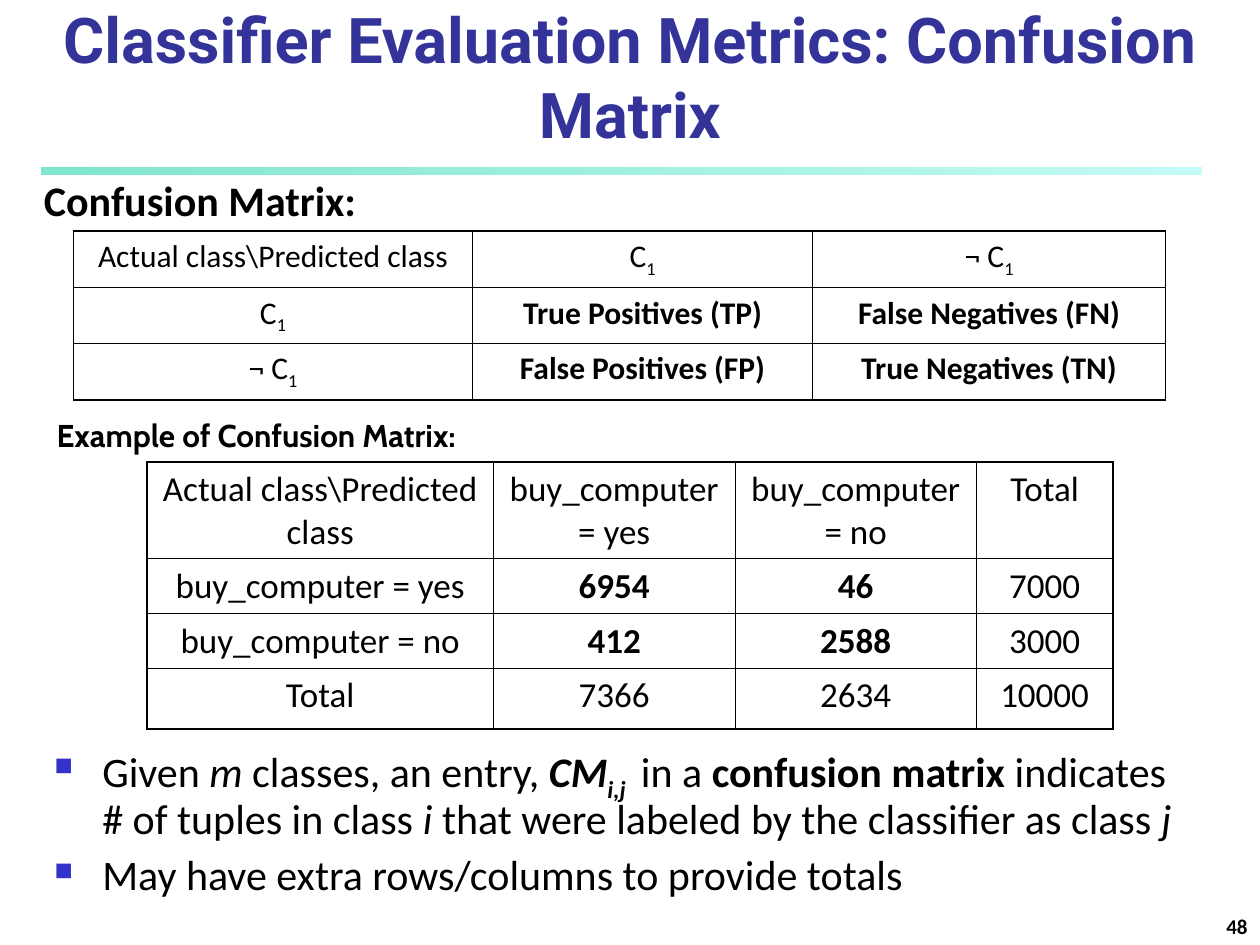
from lxml import etree
from pptx import Presentation, util as u
from pptx.dml.color import RGBColor
from pptx.enum import shapes, text
from pptx.oxml.ns import qn

THEME = {
    "title": {"size": 36, "font": "Roboto", "color": "333399"},
    "heading": {"size": 24, "font": "Calibri", "color": "000000"},
    "example": {"size": 18, "font": "Cabin", "color": "000000"},
    "matrix": {"size": 18, "font": "Calibri", "color": "000000"},
    "counts": {"size": 20, "font": "Calibri", "color": "000000"},
    "body": {"size": 24, "font": "Calibri", "color": "000000"},
    "number": {"size": 12, "font": "Calibri", "color": "000000"},
    "rule": [("00CE98", 50), ("8FF9EF", 52)],
    "bullet": "3333CC",
    "border": "000000",
    "thin": 0.45,
    "thick": 1.08,
}

prs = Presentation()
prs.slide_width, prs.slide_height = u.Inches(10), u.Inches(7.5)
s = prs.slides.add_slide(prs.slide_layouts[6])
unit = prs.slide_width / 120  # the slide is a grid of 120 columns by 90 rows


def grid(*cells):
    return [u.Emu(round(c * unit)) for c in cells]


def add_runs(p, runs, style):
    """Add (words, marks) runs; marks are b bold, i italic, s subscript."""
    look = THEME[style]
    for words, marks in runs:
        r = p.add_run()
        r.text = words
        r.font.size, r.font.name = u.Pt(look["size"]), look["font"]
        r.font.color.rgb = RGBColor.from_string(look["color"])
        r.font.bold, r.font.italic = "b" in marks, "i" in marks
        if "s" in marks:
            r._r.get_or_add_rPr().set("baseline", "-25000")


# Rule under the title
rule = s.shapes.add_shape(shapes.MSO_SHAPE.RECTANGLE, *grid(4, 16, 110.4, 0.6))
rule.shadow.inherit = False
rule.line.fill.background()
rule.fill.gradient()
rule.fill.gradient_angle = 0
for stop, (color, opacity) in zip(rule.fill.gradient_stops, THEME["rule"]):
    stop.color.rgb = RGBColor.from_string(color)
for clr, (color, opacity) in zip(rule._element.spPr.iter(qn("a:srgbClr")), THEME["rule"]):
    etree.SubElement(clr, qn("a:alpha")).set("val", str(opacity * 1000))

# Title, headings and slide number
LEFT, CENTER, RIGHT = text.PP_ALIGN.LEFT, text.PP_ALIGN.CENTER, text.PP_ALIGN.RIGHT
TOP, BOTTOM = text.MSO_ANCHOR.TOP, text.MSO_ANCHOR.BOTTOM
for words, style, place, align, anchor in [
    ("Classifier Evaluation Metrics: Confusion Matrix", "title", (0, 0, 120, 15), CENTER, BOTTOM),
    ("Confusion Matrix:", "heading", (3, 16, 34.2, 6), LEFT, TOP),
    ("Example of Confusion Matrix:", "example", (4.2, 39, 46.4, 4.8), LEFT, TOP),
    ("48", "number", (95, 85, 25, 5), RIGHT, BOTTOM),
]:
    tf = s.shapes.add_textbox(*grid(*place)).text_frame
    tf.word_wrap, tf.vertical_anchor = True, anchor
    tf.paragraphs[0].alignment = align
    add_runs(tf.paragraphs[0], [(words, "b")], style)

# Tables: thick outer frame, thin inner lines
C1 = [("C", ""), ("1", "s")]
NOT_C1 = [("¬ C", ""), ("1", "s")]
CORNER = "Actual class\\Predicted class"
YES, NO = "buy_computer = yes", "buy_computer = no"
tables = [
    ("counts", (14, 44), (33, 23, 23, 13), (9.2, 5.2, 5.2, 5.8), [
        [CORNER, YES, NO, "Total"],
        [YES, [("6954", "b")], [("46", "b")], "7000"],
        [NO, [("412", "b")], [("2588", "b")], "3000"],
        ["Total", "7366", "2634", "10000"],
    ]),
    ("matrix", (7, 22), (38, 32.4, 33.6), (5.4, 5.3, 5.4), [
        [CORNER, C1, NOT_C1],
        [C1, [("True Positives (TP)", "b")], [("False Negatives (FN)", "b")]],
        [NOT_C1, [("False Positives (FP)", "b")], [("True Negatives (TN)", "b")]],
    ]),
]
for style, corner, widths, heights, rows in tables:
    n_rows, n_cols = len(heights), len(widths)
    tbl = s.shapes.add_table(n_rows, n_cols, *grid(*corner, sum(widths), sum(heights))).table
    tbl.first_row = tbl.horz_banding = False
    for col, width in zip(tbl.columns, grid(*widths)):
        col.width = width
    for row, height in zip(tbl.rows, grid(*heights)):
        row.height = height
    for i, row in enumerate(rows):
        for j, content in enumerate(row):
            cell = tbl.cell(i, j)
            cell.fill.background()
            p = cell.text_frame.paragraphs[0]
            p.alignment = CENTER
            add_runs(p, [(content, "")] if isinstance(content, str) else content, style)
            outer = [("L", j == 0), ("R", j == n_cols - 1), ("T", i == 0), ("B", i == n_rows - 1)]
            for k, (side, is_outer) in enumerate(outer):
                ln = etree.Element(qn("a:ln" + side))
                ln.set("w", str(u.Pt(THEME["thick" if is_outer else "thin"])))
                fill = etree.SubElement(ln, qn("a:solidFill"))
                etree.SubElement(fill, qn("a:srgbClr")).set("val", THEME["border"])
                cell._tc.get_or_add_tcPr().insert(k, ln)

# Bulleted notes
notes = [
    [("Given", ""), (" m", "i"), (" classes, an entry, ", ""), ("CM", "bi"), ("i,j ", "bis"),
     (" in a ", ""), ("confusion matrix", "b"), (" indicates # of tuples in class ", ""),
     ("i", "i"), (" that were labeled by the classifier as class ", ""), ("j", "i")],
    [("May have extra rows/columns to provide totals", "")],
]
tf = s.shapes.add_textbox(*grid(4, 70.5, 111, 16.5)).text_frame
tf.word_wrap = True
for n, runs in enumerate(notes):
    p = tf.add_paragraph() if n else tf.paragraphs[0]
    pPr = p._p.get_or_add_pPr()
    indent = u.Inches(0.38)
    pPr.set("marL", str(indent))
    pPr.set("indent", str(-indent))
    bullet_color = etree.SubElement(pPr, qn("a:buClr"))
    etree.SubElement(bullet_color, qn("a:srgbClr")).set("val", THEME["bullet"])
    etree.SubElement(pPr, qn("a:buSzPct")).set("val", "60000")
    etree.SubElement(pPr, qn("a:buChar")).set("char", "■")
    p.line_spacing = 0.9
    if n:
        p.space_before = u.Pt(6)
    add_runs(p, runs, "body")

prs.save("out.pptx")
